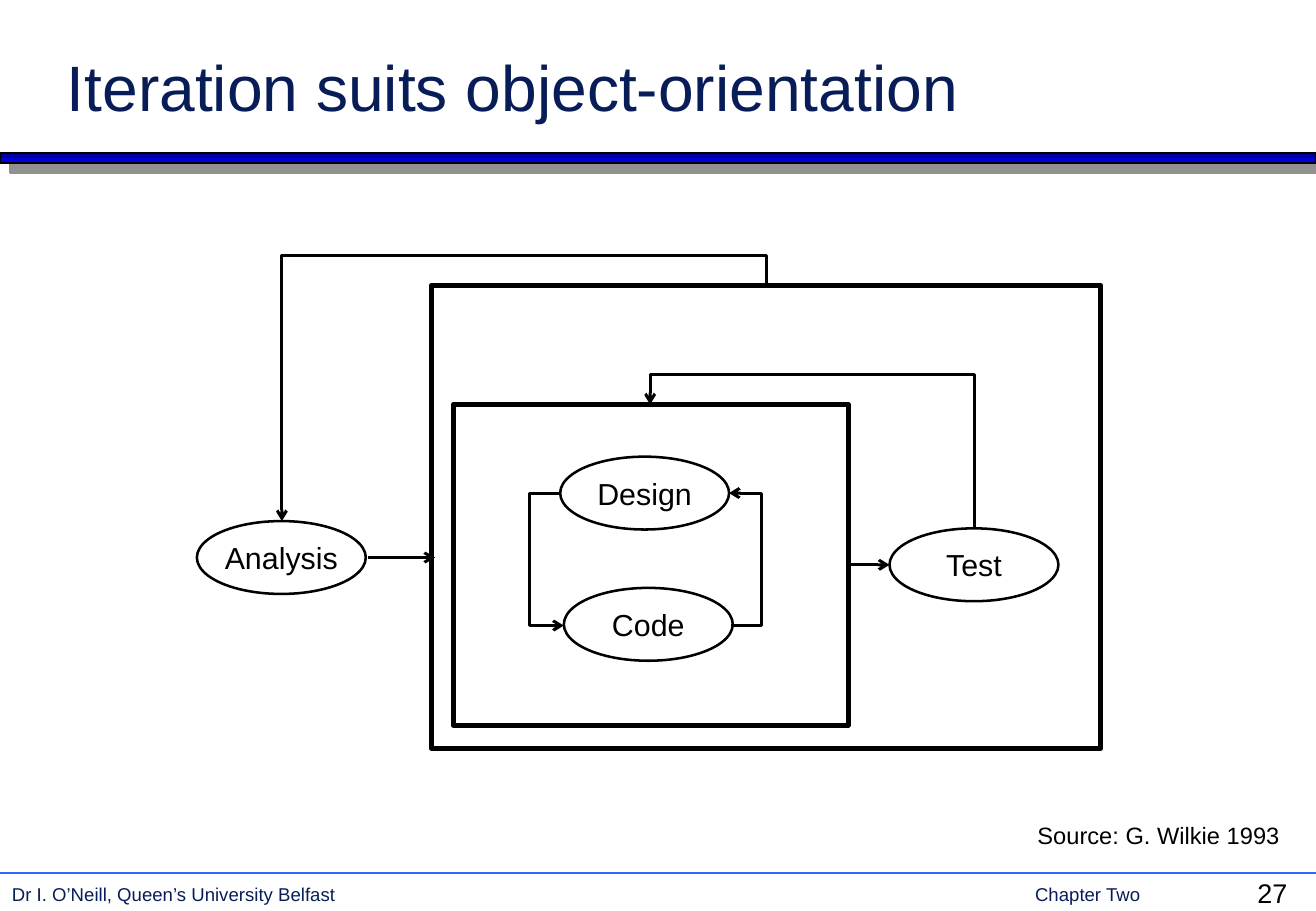
from dataclasses import dataclass

from lxml import etree
from pptx import Presentation
from pptx.dml.color import RGBColor
from pptx.enum.shapes import MSO_CONNECTOR as CONN, MSO_SHAPE as SHAPE
from pptx.enum.text import MSO_ANCHOR as ANCHOR, MSO_AUTO_SIZE as AUTO, PP_ALIGN as ALIGN
from pptx.oxml.ns import qn
from pptx.util import Inches, Pt


@dataclass(frozen=True)
class Theme:
    font: str = "Arial"
    navy: str = "081D58"
    black: str = "000000"
    rule: str = "3366FF"
    bar_top: str = "000082"
    bar_bottom: str = "0000FF"
    shadow: str = "919191"
    title: float = 38
    label: float = 18
    number: float = 16
    source: float = 14
    footer: float = 11
    frame_line: float = 3
    oval_line: float = 1.5
    arrow_line: float = 1.75
    thin_line: float = 1


T = Theme()
SLIDE_W, SLIDE_H = 10.83, 7.5
OVAL_W, OVAL_H = 1.39, 0.6
LOOP = 0.25  # how far a feedback arrow stands off its shapes


def rgb(value):
    return RGBColor.from_string(value)


def style_text(tf, text, size, color, align=ALIGN.LEFT):
    tf.text = text
    p = tf.paragraphs[0]
    p.alignment = align
    p.font.name, p.font.size = T.font, Pt(size)
    p.font.color.rgb = rgb(color)


def add_text(slide, box, text, size, color, align=ALIGN.LEFT):
    tf = slide.shapes.add_textbox(*map(Inches, box)).text_frame
    tf.word_wrap = True
    style_text(tf, text, size, color, align)


def add_outline(slide, kind, box, weight):
    sp = slide.shapes.add_shape(kind, *map(Inches, box))
    sp.shadow.inherit = False
    sp.fill.background()
    sp.line.color.rgb = rgb(T.black)
    sp.line.width = Pt(weight)
    return sp


def add_stage(slide, left, top, text):
    sp = add_outline(slide, SHAPE.OVAL, (left, top, OVAL_W, OVAL_H), T.oval_line)
    tf = sp.text_frame
    tf.margin_left = tf.margin_right = tf.margin_top = tf.margin_bottom = 0
    tf.vertical_anchor = ANCHOR.MIDDLE
    style_text(tf, text, T.label, T.black, ALIGN.CENTER)


def add_line(slide, kind, begin, end, color, weight, arrow=False):
    line = slide.shapes.add_connector(kind, *map(Inches, (*begin, *end)))
    line.line.color.rgb = rgb(color)
    line.line.width = Pt(weight)
    if arrow:
        etree.SubElement(line.line._get_or_add_ln(), qn("a:tailEnd"), type="arrow")
    etree.SubElement(line._element.spPr, qn("a:effectLst"))
    return line


def add_arrow(slide, begin, end):
    return add_line(slide, CONN.STRAIGHT, begin, end, T.black, T.arrow_line, arrow=True)


def add_loop(slide, begin, end, via, upright=False):
    """Three-part arrow whose middle part lies at x = via, or at y = via if upright."""
    (x0, y0), (x1, y1) = begin, end
    if upright:
        ratio = (via - y0) / (y1 - y0)
        mid_x, mid_y = (x0 + x1) / 2, (y0 + y1) / 2
        half_w, half_h = (y0 - y1) / 2, (x1 - x0) / 2
        begin = mid_x - half_w, mid_y - half_h
        end = mid_x + half_w, mid_y + half_h
    else:
        ratio = (via - x0) / (x1 - x0)
    line = add_line(slide, CONN.ELBOW, begin, end, T.black, T.arrow_line, arrow=True)
    sp_pr = line._element.spPr
    if upright:
        sp_pr.find(qn("a:xfrm")).set("rot", str(270 * 60000))
    guides = sp_pr.find(qn("a:prstGeom")).get_or_add_avLst()
    etree.SubElement(guides, qn("a:gd"), name="adj1", fmla=f"val {round(ratio * 100000)}")


def add_title(slide):
    sp = slide.shapes.title
    sp.left, sp.top, sp.width, sp.height = map(Inches, (0.45, 0.29, 9.25, 0.78))
    tf = sp.text_frame
    tf.auto_size, tf.vertical_anchor = AUTO.NONE, ANCHOR.BOTTOM
    style_text(tf, "Iteration suits object-orientation", T.title, T.navy)


def add_bar(slide):
    sp = add_outline(slide, SHAPE.RECTANGLE, (0, 1.26, SLIDE_W, 0.08), T.thin_line)
    sp.fill.gradient()
    sp.fill.gradient_angle = 270
    for stop, color in zip(sp.fill.gradient_stops, (T.bar_top, T.bar_bottom)):
        stop.color.rgb = rgb(color)
    effects = sp._element.spPr.find(qn("a:effectLst"))
    shadow = etree.SubElement(effects, qn("a:outerShdw"), dist=str(Pt(8.5)),
                              dir=str(45 * 60000), algn="ctr", rotWithShape="0")
    etree.SubElement(shadow, qn("a:srgbClr"), val=T.shadow)


def add_footer(slide):
    add_line(slide, CONN.STRAIGHT, (0, 7.19), (SLIDE_W, 7.19), T.rule, T.thin_line)
    add_text(slide, (0, 7.22, 4, 0.29), "Dr I. O’Neill, Queen’s University Belfast",
             T.footer, T.navy)
    add_text(slide, (8.42, 7.22, 1.56, 0.29), "Chapter Two", T.footer, T.navy)
    add_text(slide, (10.25, 7.17, 0.58, 0.37), "27", T.number, T.black)


def add_diagram(slide):
    # Frames and stages
    add_outline(slide, SHAPE.RECTANGLE, (3.55, 2.35, 5.51, 3.81), T.frame_line)
    inner = add_outline(slide, SHAPE.RECTANGLE, (3.73, 3.33, 3.25, 2.64), T.frame_line)
    for left, top, text in ((4.61, 3.76, "Design"), (4.64, 4.84, "Code"),
                            (1.62, 4.29, "Analysis"), (7.32, 4.35, "Test")):
        add_stage(slide, left, top, text)

    # Forward arrows
    add_arrow(slide, (3.03, 4.59), (3.58, 4.59))
    add_arrow(slide, (6.98, 4.65), (7.32, 4.65)).begin_connect(inner, 3)

    # Feedback arrows
    add_loop(slide, (6.02, 5.15), (6, 4.06), 6.02 + LOOP)
    add_loop(slide, (4.61, 4.06), (4.64, 5.15), 4.61 - LOOP)
    add_loop(slide, (6.31, 2.35), (2.32, 4.29), 2.35 - LOOP, upright=True)
    add_loop(slide, (8.02, 4.35), (5.35, 3.33), 3.33 - LOOP, upright=True)


def main():
    prs = Presentation()
    prs.slide_width, prs.slide_height = Inches(SLIDE_W), Inches(SLIDE_H)
    slide = prs.slides.add_slide(prs.slide_layouts[5])
    add_bar(slide)
    add_footer(slide)
    add_title(slide)
    add_diagram(slide)
    add_text(slide, (8.4, 6.71, 2.23, 0.34), "Source: G. Wilkie 1993",
             T.source, T.black, ALIGN.RIGHT)
    prs.save("out.pptx")


if __name__ == "__main__":
    main()
